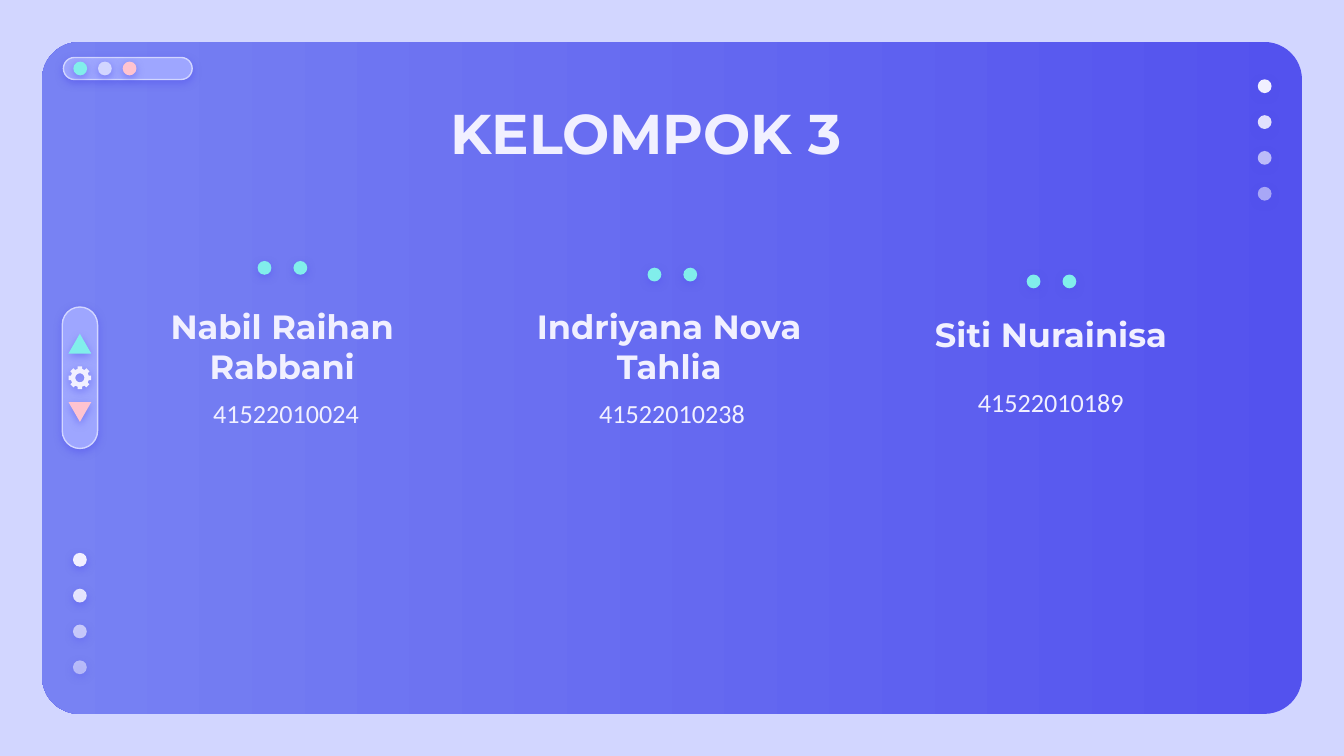
from dataclasses import dataclass
from math import cos, radians, sin

from lxml.etree import SubElement
from pptx import Presentation
from pptx.dml.color import RGBColor
from pptx.enum.shapes import MSO_SHAPE
from pptx.enum.text import MSO_ANCHOR, PP_ALIGN
from pptx.oxml.ns import qn
from pptx.shapes.autoshape import Shape
from pptx.util import Pt

PALE = RGBColor(0xD2, 0xD6, 0xFF)
DEEP = RGBColor(0x53, 0x52, 0xEE)
SOFT = RGBColor(0x78, 0x82, 0xF3)
LILAC = RGBColor(0x9E, 0xA6, 0xFF)
MINT = RGBColor(0x81, 0xEE, 0xEB)
PINK = RGBColor(0xFF, 0xC3, 0xD0)
WHITE = RGBColor(0xF1, 0xF0, 0xFF)

DOT = 7.4
GAP = 19.2
RAIL = 42.8
FADES = (100, 90, 67, 54)


@dataclass
class Member:
    name: str
    code: str
    left: float
    top: float
    codeleft: float
    codetop: float
    dotx: float
    doty: float


MEMBERS = (
    Member("Nabil Raihan Rabbani", "41522010024", 60.5, 175.7, 79.9, 202.3, 141.7, 143.5),
    Member("Indriyana Nova Tahlia", "41522010238", 267.8, 175.7, 286.6, 202.3, 350.6, 147.1),
    Member("Siti Nurainisa", "41522010189", 472.3, 169.2, 489.6, 196.3, 553.7, 150.8),
)

deck = Presentation()
deck.slide_width, deck.slide_height = Pt(720), Pt(405)
slide = deck.slides.add_slide(deck.slide_layouts[6])
slide.background.fill.solid()
slide.background.fill.fore_color.rgb = PALE
shapes = slide.shapes


def add_glow(shape: Shape, alpha: int = 50) -> None:
    shape.shadow.inherit = False
    effects = shape._element.spPr.find(qn("a:effectLst"))
    glow = SubElement(effects, qn("a:outerShdw"), blurRad=str(Pt(4.5)),
                      dist=str(Pt(1.5)), dir="5400000", algn="bl", rotWithShape="0")
    tint = SubElement(glow, qn("a:srgbClr"), val=str(DEEP))
    SubElement(tint, qn("a:alpha"), val=str(alpha * 1000))


def paint(shape: Shape, color: RGBColor, alpha: int = 100) -> None:
    shape.fill.solid()
    shape.fill.fore_color.rgb = color
    if alpha < 100:
        tint = shape._element.spPr.find(qn("a:solidFill"))[0]
        SubElement(tint, qn("a:alpha"), val=str(alpha * 1000))
    shape.line.fill.background()
    add_glow(shape)


def add_mark(kind: MSO_SHAPE, x: float, y: float, wide: float, high: float,
             color: RGBColor, alpha: int = 100) -> Shape:
    shape = shapes.add_shape(kind, Pt(x - wide / 2), Pt(y - high / 2), Pt(wide), Pt(high))
    paint(shape, color, alpha)
    return shape


def add_dot(x: float, y: float, color: RGBColor, alpha: int = 100) -> None:
    add_mark(MSO_SHAPE.OVAL, x, y, DOT, DOT, color, alpha)


def add_pill(x: float, y: float, wide: float, high: float) -> None:
    pill = add_mark(MSO_SHAPE.ROUNDED_RECTANGLE, x, y, wide, high, LILAC)
    pill.adjustments[0] = 0.5
    pill.line.color.rgb = PALE
    pill.line.width = Pt(0.75)


def add_fade(x: float, y: float) -> None:
    for row, alpha in enumerate(FADES):
        add_dot(x, y + row * GAP, WHITE, alpha)


def add_text(text: str, left: float, top: float, wide: float, high: float,
             size: float, font: str, bold: bool, anchor: MSO_ANCHOR) -> None:
    frame = shapes.add_textbox(Pt(left), Pt(top), Pt(wide), Pt(high)).text_frame
    frame.word_wrap = True
    frame.vertical_anchor = anchor
    frame.margin_left = frame.margin_right = Pt(7.2)
    frame.margin_top = frame.margin_bottom = Pt(7.2)
    para = frame.paragraphs[0]
    para.text = text
    para.alignment = PP_ALIGN.CENTER
    para.font.name = font
    para.font.size = Pt(size)
    para.font.bold = bold
    para.font.color.rgb = WHITE


def add_gear(x: float, y: float) -> None:
    def spot(radius: float, angle: float) -> tuple[int, int]:
        turn = radians(angle)
        return Pt(x + radius * cos(turn)), Pt(y + radius * sin(turn))

    tooth = ((4.9, -14), (6.2, -11), (6.2, 11), (4.9, 14))
    rim = [spot(radius, step + turn) for step in range(0, 360, 45) for radius, turn in tooth]
    hole = [spot(2.4, -angle) for angle in range(0, 360, 15)]
    pen = shapes.build_freeform(*rim[0])
    pen.add_line_segments(rim[1:])
    pen.move_to(*hole[0])
    pen.add_line_segments(hole[1:])
    paint(pen.convert_to_shape(), WHITE)


panel = shapes.add_shape(MSO_SHAPE.ROUNDED_RECTANGLE, Pt(22.5), Pt(22.5), Pt(675), Pt(360))
panel.adjustments[0] = 0.056
panel.shadow.inherit = False
panel.line.fill.background()
panel.fill.gradient()
panel.fill.gradient_angle = 180
for stop, color in zip(panel.fill.gradient_stops, (DEEP, SOFT)):
    stop.color.rgb = color

add_pill(68.5, 36.7, 69, 11.8)
for place, color in enumerate((MINT, PALE, PINK)):
    add_dot(43 + place * 13.2, 36.7, color)

add_fade(677.5, 46.2)
add_fade(RAIL, 299.9)

add_text("KELOMPOK 3", 42.5, 45.4, 607, 45.4, 30, "Montserrat", True, MSO_ANCHOR.TOP)
for one in MEMBERS:
    add_text(one.name, one.left, one.top, 181.4, 19.4, 18, "Montserrat", True, MSO_ANCHOR.MIDDLE)
    add_text(one.code, one.codeleft, one.codetop, 146.9, 38.2, 14, "Calibri", False,
             MSO_ANCHOR.MIDDLE)
    for place in range(2):
        add_dot(one.dotx + place * GAP, one.doty, MINT)

add_pill(RAIL, 202.4, 18.9, 75.8)
add_mark(MSO_SHAPE.ISOSCELES_TRIANGLE, RAIL, 184.1, 12.2, 10.6, MINT)
add_mark(MSO_SHAPE.ISOSCELES_TRIANGLE, RAIL, 220.7, 12.2, 10.6, PINK).rotation = 180
add_gear(RAIL, 202.4)

deck.save("out.pptx")
